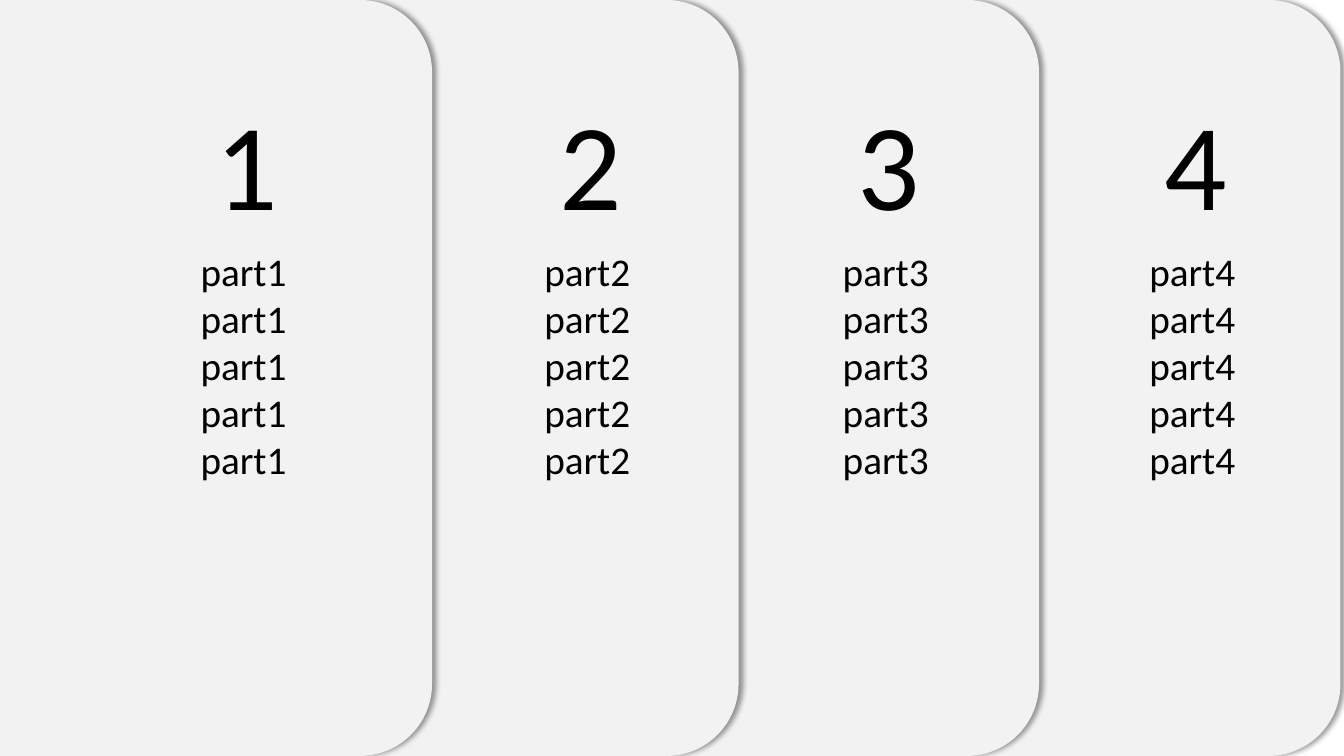
from dataclasses import dataclass

from lxml import etree
from pptx import Presentation
from pptx.dml.color import RGBColor
from pptx.enum.shapes import MSO_SHAPE
from pptx.enum.text import MSO_AUTO_SIZE
from pptx.oxml.ns import qn
from pptx.util import Inches, Pt

ROUNDED_TOP = MSO_SHAPE.ROUND_2_SAME_RECTANGLE
FIT_SHAPE = MSO_AUTO_SIZE.SHAPE_TO_FIT_TEXT


@dataclass
class Theme:
    font: str = "Calibri"
    panel: RGBColor = RGBColor(0xF2, 0xF2, 0xF2)
    ink: RGBColor = RGBColor(0, 0, 0)
    shadow: str = "000000"
    number_size: int = 88
    part_size: int = 28


theme = Theme()


def add_shadow(shape):
    """Cast a soft shadow to the right of the shape."""
    shape.shadow.inherit = False
    effects = shape._element.spPr.find(qn("a:effectLst"))
    shadow = etree.SubElement(
        effects, qn("a:outerShdw"), blurRad=str(Pt(4)), dist=str(Pt(3)),
        dir="0", algn="l", rotWithShape="0")
    color = etree.SubElement(shadow, qn("a:srgbClr"), val=theme.shadow)
    etree.SubElement(color, qn("a:alpha"), val="40000")


def add_text(group, left, top, width, height, text, size):
    box = group.shapes.add_textbox(
        Inches(left), Inches(top), Inches(width), Inches(height))
    frame = box.text_frame
    frame.word_wrap = True
    frame.auto_size = FIT_SHAPE
    frame.text = text
    for para in frame.paragraphs:
        for span in para.runs:
            span.font.name = theme.font
            span.font.size = Pt(size)
            span.font.color.rgb = theme.ink


# Deck and blank page
deck = Presentation()
deck.slide_width = Inches(13.33)
deck.slide_height = Inches(7.5)
page = deck.slides.add_slide(deck.slide_layouts[6])

# Panels overlap from right to left: number, panel left, text left
panel_length, panel_width = 7.5, 4.29
panel_top = (panel_length - panel_width) / 2
columns = [(4, 7.4, 11.3), (3, 4.41, 8.26), (2, 1.43, 5.3), (1, -1.61, 1.89)]

for number, panel_left, text_left in columns:
    group = page.shapes.add_group_shape()

    # Panel turned so that its rounded corners face right
    panel = group.shapes.add_shape(
        ROUNDED_TOP, Inches(panel_left), Inches(panel_top),
        Inches(panel_length), Inches(panel_width))
    panel.rotation = 90
    panel.fill.solid()
    panel.fill.fore_color.rgb = theme.panel
    panel.line.fill.background()
    add_shadow(panel)

    # Large number above five lines of text
    add_text(group, text_left + 0.15, 0.82, 1.35, 1.58,
             str(number), theme.number_size)
    add_text(group, text_left, 2.4, 1.78, 2.93,
             "\n".join([f"part{number}"] * 5), theme.part_size)

deck.save("out.pptx")
